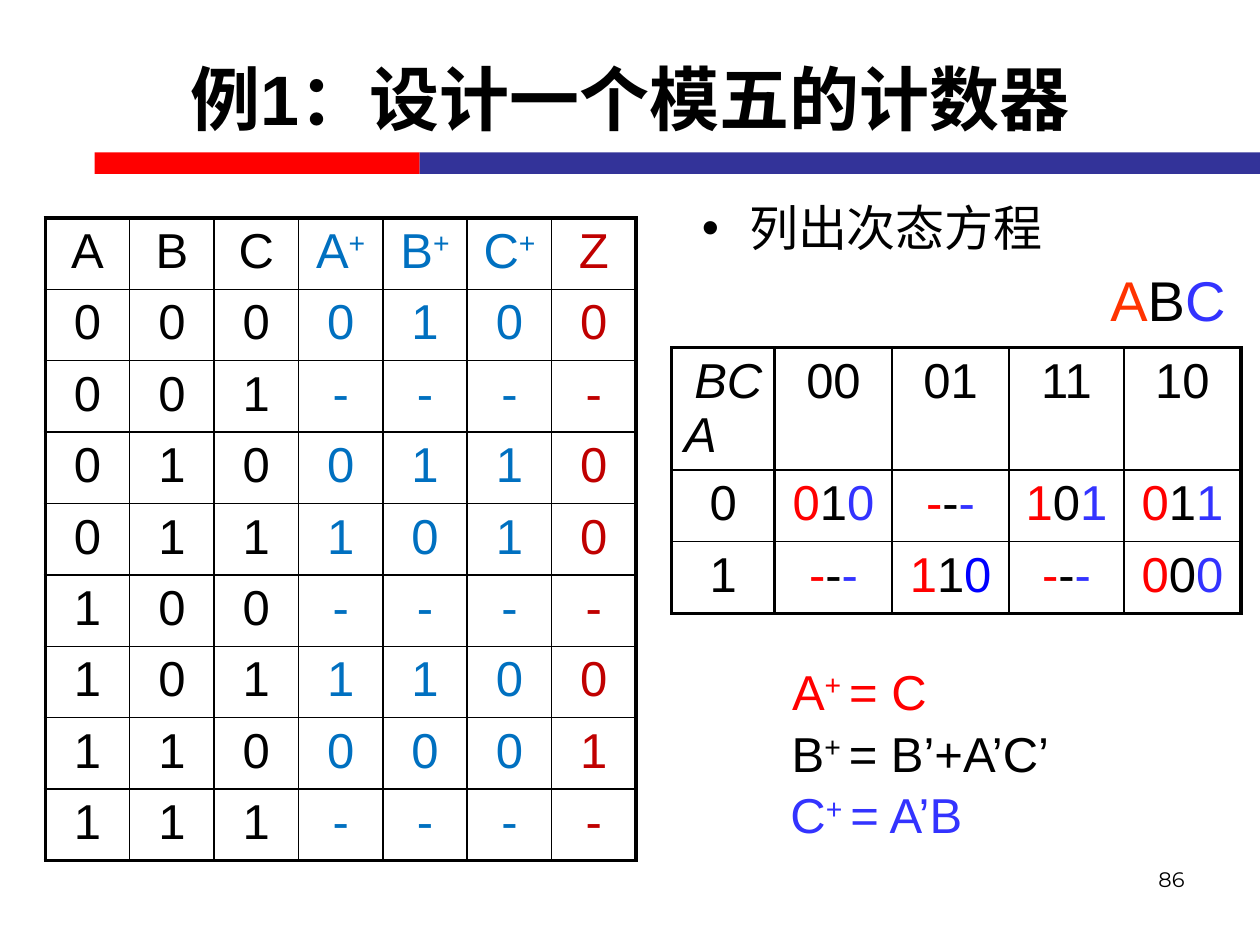
from lxml import etree
from pptx import Presentation
from pptx.dml.color import RGBColor
from pptx.enum import shapes, text
from pptx.oxml.ns import qn
from pptx.util import Inches, Pt

BLACK, RED, VIOLET = "000000", "FF0000", "3333FF"
NEXT_STATE, OUTPUT = "0070C0", "C00000"
CENTER, LEFT, RIGHT = text.PP_ALIGN.CENTER, text.PP_ALIGN.LEFT, text.PP_ALIGN.RIGHT


def write(paragraph, runs, align=CENTER, **formats):
    """Add (text, colour) runs; a text that starts with ^ is superscript."""
    paragraph.alignment = align
    paragraph.space_before = Pt(0)
    for content, colour in runs:
        run = paragraph.add_run()
        run.text = content.removeprefix("^")
        for key, value in {"name": "Arial", "size": Pt(28), **formats}.items():
            setattr(run.font, key, value)
        run.font.color.rgb = RGBColor.from_string(colour)
        if content.startswith("^"):
            run._r.get_or_add_rPr().set("baseline", "30000")


def add_grid(left, top, widths, heights, outer, thick_columns):
    """Add a white table with thick outer rules and thick rules at the given column edges."""
    grid = slide.shapes.add_table(len(heights), len(widths), left, top,
                                  sum(widths), sum(heights)).table
    grid.first_row = grid.horz_banding = False
    for column, width in zip(grid.columns, widths):
        column.width = width
    for row, height in zip(grid.rows, heights):
        row.height = height
    thick_rows = {0, len(heights)}
    for r in range(len(heights)):
        for c in range(len(widths)):
            cell = grid.cell(r, c)
            cell.fill.solid()
            cell.fill.fore_color.rgb = RGBColor.from_string("FFFFFF")
            sides = {"a:lnL": c in thick_columns, "a:lnR": c + 1 in thick_columns,
                     "a:lnT": r in thick_rows, "a:lnB": r + 1 in thick_rows}
            for i, (side, thick) in enumerate(sides.items()):
                rule = etree.Element(qn(side), w=str(Pt(outer if thick else 1)))
                solid = etree.SubElement(rule, qn("a:solidFill"))
                etree.SubElement(solid, qn("a:srgbClr"), val=BLACK)
                cell._tc.get_or_add_tcPr().insert(i, rule)
    return grid


prs = Presentation()
prs.slide_width, prs.slide_height = Inches(10), Inches(7.5)
slide = prs.slides.add_slide(prs.slide_layouts[1])

# Title and heading
title, heading = slide.placeholders
for holder, box, anchor in (
    (title, (0.5, 0.15, 9, 1.25), text.MSO_ANCHOR.MIDDLE),
    (heading, (5.47, 1.52, 4.36, 0.51), text.MSO_ANCHOR.TOP),
):
    holder.left, holder.top, holder.width, holder.height = map(Inches, box)
    holder.text_frame.auto_size = text.MSO_AUTO_SIZE.NONE
    holder.text_frame.vertical_anchor = anchor
write(title.text_frame.paragraphs[0], [("例1：设计一个模五的计数器", BLACK)],
      size=Pt(40), bold=True)
write(heading.text_frame.paragraphs[0], [("列出次态方程", BLACK)], LEFT)

# Two-colour rule under the title
for left, width, colour in ((0.75, 2.58, RED), (3.33, 6.67, "333399")):
    bar = slide.shapes.add_shape(shapes.MSO_SHAPE.RECTANGLE, Inches(left), Inches(1.21),
                                 Inches(width), Inches(0.17))
    bar.shadow.inherit = False
    bar.fill.solid()
    bar.fill.fore_color.rgb = RGBColor.from_string(colour)
    bar.line.fill.background()

# State table: present state, next state, output
states = ["0000100", "001----", "0100110", "0111010", "100----",
          "1011100", "1100001", "111----"]
state_colours = [BLACK] * 3 + [NEXT_STATE] * 3 + [OUTPUT]
state_table = add_grid(Inches(0.36), Inches(1.73), [Inches(0.67)] * 7,
                       [Inches(5.1 / 9)] * 9, 2.25, {0, 7})
state_rows = [["A", "B", "C", "A+", "B+", "C+", "Z"], *states]
for r, values in enumerate(state_rows):
    for c, (value, colour) in enumerate(zip(values, state_colours)):
        runs = [(value[0], colour)]
        if value.endswith("+"):
            runs.append(("^+", colour))
        write(state_table.cell(r, c).text_frame.paragraphs[0], runs)

# Karnaugh map of the next state
bit_colours = [RED, BLACK, VIOLET]
next_states = [["010", "---", "101", "011"], ["---", "110", "---", "000"]]
karnaugh = add_grid(Inches(5.33), Inches(2.76),
                    [Inches(w) for w in (0.82, 0.93, 0.93, 0.91, 0.93)],
                    [Inches(h) for h in (0.97, 0.57, 0.57)], 2, {0, 1, 5})
corner = karnaugh.cell(0, 0).text_frame
write(corner.paragraphs[0], [("BC", BLACK)], RIGHT, italic=True)
write(corner.add_paragraph(), [("A", BLACK)], LEFT, italic=True)
for c, bc in enumerate(("00", "01", "11", "10"), 1):
    write(karnaugh.cell(0, c).text_frame.paragraphs[0], [(bc, BLACK)])
for r, values in enumerate(next_states, 1):
    write(karnaugh.cell(r, 0).text_frame.paragraphs[0], [(str(r - 1), BLACK)])
    for c, bits in enumerate(values, 1):
        colours = [RED, BLACK, "0000FF"] if bits == "110" else bit_colours
        write(karnaugh.cell(r, c).text_frame.paragraphs[0], list(zip(bits, colours)))

# Map key, next-state equations and page number
equations = [("A", "= C"), ("B", "= B’+A’C’"), ("C", "= A’B")]
equation_runs = [[(name, colour), ("^+ ", colour), (formula, colour)]
                 for (name, formula), colour in zip(equations, bit_colours)]
for box, runs, align, formats in (
    ((8.54, 2.06, 1.46, 0.64), list(zip("ABC", ["FF3300", BLACK, VIOLET])), CENTER,
     {"size": Pt(32)}),
    ((5.78, 5.2, 2.08, 0.57), equation_runs[0], CENTER, {}),
    ((5.93, 5.69, 2.75, 0.57), equation_runs[1], CENTER, {}),
    ((5.58, 6.18, 2.75, 0.57), equation_runs[2], CENTER, {}),
    ((7.17, 6.83, 2.33, 0.52), [("86", BLACK)], RIGHT,
     {"size": Pt(12), "name": "Montserrat"}),
):
    frame = slide.shapes.add_textbox(*map(Inches, box)).text_frame
    frame.word_wrap = True
    write(frame.paragraphs[0], runs, align, **formats)

prs.save("out.pptx")
